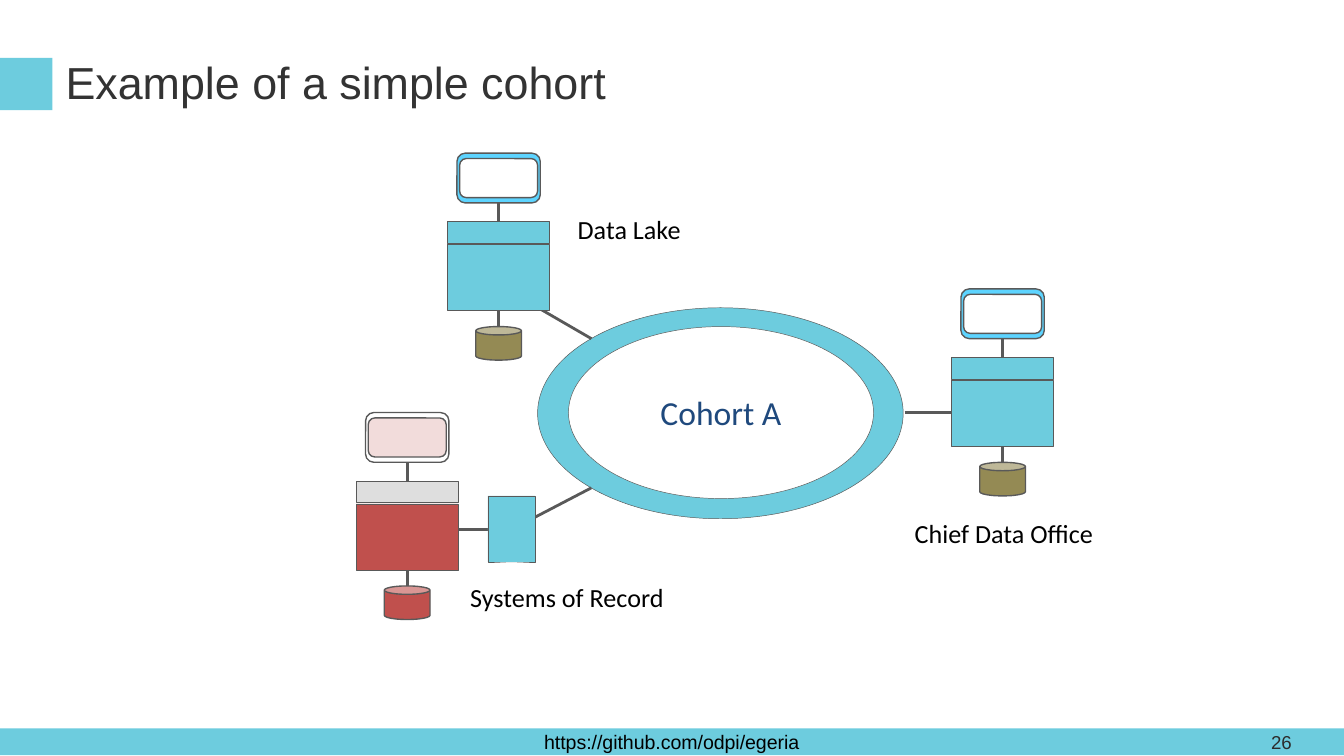
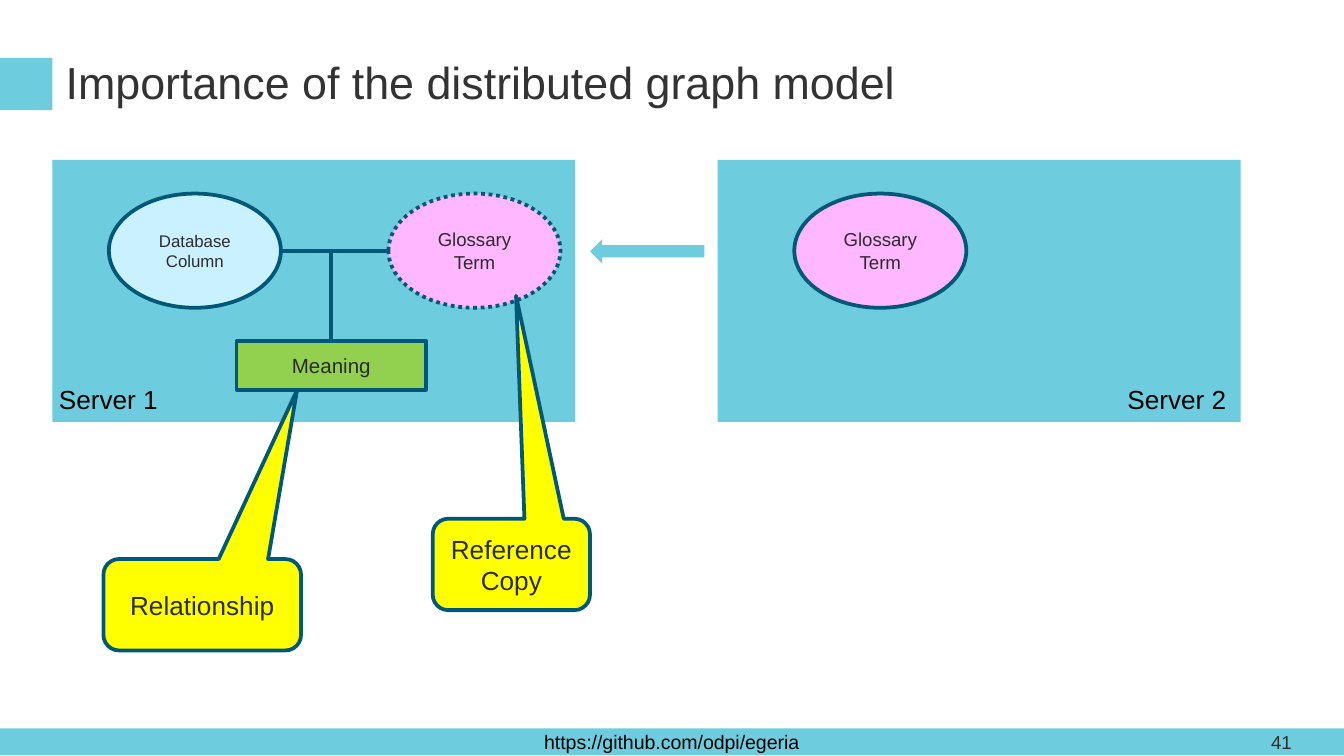
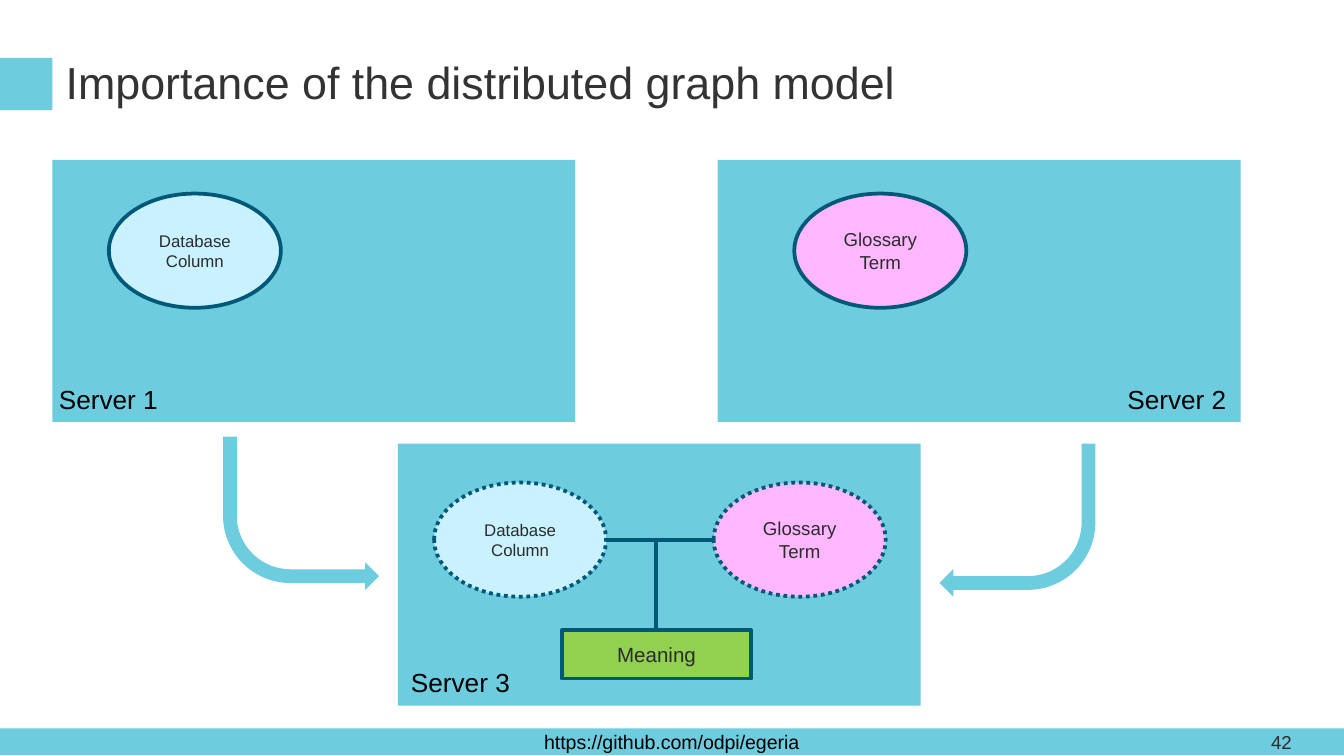
from lxml import etree
from pptx import Presentation
from pptx.dml.color import RGBColor
from pptx.enum import dml, shapes, text
from pptx.oxml import ns
from pptx.util import Inches, Pt

AQUA = RGBColor(0x6D, 0xCC, 0xDE)
SKY = RGBColor(0x5D, 0xD4, 0xFF)
PALE = RGBColor(0xC9, 0xF1, 0xFF)
PINK = RGBColor(0xFF, 0xB7, 0xFF)
GREEN = RGBColor(0x92, 0xD0, 0x50)
YELLOW = RGBColor(0xFF, 0xFF, 0x00)
OLIVE = RGBColor(0x94, 0x8A, 0x54)
RED = RGBColor(0xC0, 0x50, 0x4D)
ROSE = RGBColor(0xF2, 0xDC, 0xDB)
SILVER = RGBColor(0xDE, 0xDE, 0xDE)
WHITE = RGBColor(0xFF, 0xFF, 0xFF)
BLACK = RGBColor(0x00, 0x00, 0x00)
GREY = RGBColor(0x59, 0x59, 0x59)
TITLE = RGBColor(0x33, 0x33, 0x33)
INK = RGBColor(0x2C, 0x2C, 0x2C)
NAVY = RGBColor(0x1F, 0x49, 0x7D)
TEAL = RGBColor(0x00, 0x58, 0x78)

KIND = shapes.MSO_SHAPE
MID = text.MSO_ANCHOR.MIDDLE
TOP = text.MSO_ANCHOR.TOP
CENTER = text.PP_ALIGN.CENTER
LEFT = text.PP_ALIGN.LEFT

PANEL_W, PANEL_H = 3.89, 1.95
NODE_W, NODE_H = 1.28, 0.85
COLUMN = ("Database\nColumn", PALE, 9)
TERM = ("Glossary\nTerm", PINK, 10)
FLOW_COLUMN = ("Database Column", PALE, 9)
FLOW_TERM = ("Glossary Term", PINK, 10)


def write(shape, words, size=14, font="Arial", color=INK, align=CENTER,
          anchor=MID, inset=0.05, wrap=True):
    """Fill a shape with text; inset is the top and bottom margin."""
    frame = shape.text_frame
    frame.word_wrap = wrap
    frame.vertical_anchor = anchor
    frame.margin_top = frame.margin_bottom = Inches(inset)
    frame.text = words
    for para in frame.paragraphs:
        para.alignment = align
        para.font.size = Pt(size)
        para.font.name = font
        para.font.color.rgb = color


def label(slide, words, x, y, w=1.66, h=0.34, **style):
    box = slide.shapes.add_textbox(Inches(x), Inches(y), Inches(w), Inches(h))
    write(box, words, **{"align": LEFT, "anchor": TOP, "color": BLACK, **style})


def draw(slide, kind, x, y, w, h, fill, line=None, width=0.25, dots=False, adj=()):
    """Add a preset shape; without a line colour it has no outline."""
    shape = slide.shapes.add_shape(kind, Inches(x), Inches(y), Inches(w), Inches(h))
    shape.shadow.inherit = False
    shape.fill.solid()
    shape.fill.fore_color.rgb = fill
    if line is None:
        shape.line.fill.background()
    else:
        shape.line.color.rgb = line
        shape.line.width = Pt(width)
    if dots:
        shape.line.dash_style = dml.MSO_LINE.ROUND_DOT
    for i, value in enumerate(adj):
        shape.adjustments[i] = value
    return shape


def link(slide, x1, y1, x2, y2, color=GREY, width=1.5):
    line = slide.shapes.add_connector(
        shapes.MSO_CONNECTOR.STRAIGHT, Inches(x1), Inches(y1), Inches(x2), Inches(y2))
    line.line.color.rgb = color
    line.line.width = Pt(width)
    etree.SubElement(line._element.spPr, ns.qn("a:effectLst"))


def page(deck, title, number):
    """Add a slide with the shared title, marker and footer band."""
    slide = deck.slides.add_slide(deck.slide_layouts[6])
    band = draw(slide, KIND.RECTANGLE, 0, 5.42, 10, 0.2, AQUA)
    write(band, "https://github.com/odpi/egeria", size=10.5, color=BLACK)
    draw(slide, KIND.RECTANGLE, 0, 0.43, 0.39, 0.39, AQUA)
    label(slide, title, 0.39, 0.31, 9.27, 0.62, size=24, color=TITLE, inset=0.1)
    label(slide, str(number), 9.36, 5.42, 0.6, 0.2, size=10, color=INK,
          anchor=MID, inset=0.1)
    return slide


def system(slide, x, y, rim=SKY, screen=WHITE, head=AQUA, body=AQUA, store=OLIVE):
    """Draw a screen, a server and a data store, one below the other."""
    mid = x + 0.38
    draw(slide, KIND.ROUNDED_RECTANGLE, x + 0.07, y, 0.62, 0.37, rim, GREY, 0.75)
    draw(slide, KIND.ROUNDED_RECTANGLE, x + 0.09, y + 0.04, 0.58, 0.29, screen, GREY, 0.75)
    draw(slide, KIND.RECTANGLE, x, y + 0.68, 0.76, 0.49, body, GREY)
    draw(slide, KIND.RECTANGLE, x, y + 0.51, 0.76, 0.16, head, GREY)
    draw(slide, KIND.CAN, x + 0.21, y + 1.29, 0.34, 0.25, store, GREY, 0.75)
    link(slide, mid, y + 0.37, mid, y + 0.51)
    link(slide, mid, y + 1.17, mid, y + 1.29)


def panel(slide, name, x, y, dx=0.0):
    """Draw a server area, its name set dx from the left edge."""
    draw(slide, KIND.RECTANGLE, x, y, PANEL_W, PANEL_H, AQUA)
    label(slide, name, x + dx, y + 1.61, 0.94, wrap=False)


def node(slide, look, x, y, dots=False):
    words, fill, size = look
    oval = draw(slide, KIND.OVAL, x, y, NODE_W, NODE_H, fill, TEAL, 2, dots)
    write(oval, words, size=size)


def graph(slide, x, y, column, term, dots=False):
    """Draw a column tied to a copied term by their meaning."""
    mid = y + NODE_H / 2
    node(slide, column, x, y, dots)
    node(slide, term, x + 2.08, y, True)
    link(slide, x + NODE_W, mid, x + 2.08, mid, TEAL, 2.25)
    link(slide, x + 1.65, mid, x + 1.65, y + 1.1, TEAL, 2.25)
    box = draw(slide, KIND.RECTANGLE, x + 0.95, y + 1.1, 1.41, 0.36, GREEN, TEAL, 2)
    write(box, "Meaning", size=11)


def callout(slide, words, x, y, w, tip):
    shape = draw(slide, KIND.ROUNDED_RECTANGULAR_CALLOUT, x, y, w, 0.68,
                 YELLOW, TEAL, 2, adj=(*tip, 0.17))
    write(shape, words)


def bend(slide, x, y):
    return draw(slide, KIND.BENT_ARROW, x, y, 1.16, 1.14, AQUA,
                adj=(0.09, 0.09, 0.09, 0.44))


def cohort(deck):
    slide = page(deck, "Example of a simple cohort", 26)
    draw(slide, KIND.OVAL, 4, 2.29, 2.72, 1.57, AQUA, GREY)
    hub = draw(slide, KIND.OVAL, 4.23, 2.43, 2.27, 1.28, WHITE, GREY)
    write(hub, "Cohort A", size=18, font="Calibri", color=NAVY)

    link(slide, 3.71, 2.12, 4.4, 2.52)
    link(slide, 3.71, 3.99, 4.4, 3.63)
    link(slide, 6.73, 3.07, 7.08, 3.07)
    link(slide, 3.41, 3.94, 3.63, 3.94)
    draw(slide, KIND.RECTANGLE, 3.63, 3.69, 0.35, 0.49, AQUA, GREY)

    system(slide, 3.33, 1.14)
    system(slide, 7.08, 2.15)
    system(slide, 2.65, 3.07, WHITE, ROSE, SILVER, RED, RED)
    label(slide, "Data Lake", 4.2, 1.54, font="Calibri")
    label(slide, "Chief Data Office", 6.64, 3.8, font="Calibri", align=CENTER)
    label(slide, "Systems of Record", 3.4, 4.28, font="Calibri")


def model(deck, number):
    """Add a slide with the two servers and the term that server 2 owns."""
    slide = page(deck, "Importance of the distributed graph model", number)
    panel(slide, "Server 1", 0.39, 1.19, -0.05)
    panel(slide, "Server 2", 5.34, 1.19, 2.95)
    node(slide, TERM, 5.91, 1.44)
    return slide


def share(deck):
    slide = model(deck, 41)
    graph(slide, 0.81, 1.44, COLUMN, FLOW_TERM)
    draw(slide, KIND.LEFT_ARROW, 4.39, 1.78, 0.85, 0.18, AQUA)
    callout(slide, "Reference\nCopy", 3.22, 3.86, 1.17, (0.03, -2.94))
    callout(slide, "Relationship", 0.77, 4.16, 1.47, (0.48, -2.35))


def merge(deck):
    slide = model(deck, 42)
    node(slide, COLUMN, 0.81, 1.44)
    panel(slide, "Server 3", 2.96, 3.3)
    graph(slide, 3.23, 3.59, FLOW_COLUMN, TERM, True)
    bend(slide, 1.66, 3.25)._element.spPr.xfrm.set("flipV", "1")
    bend(slide, 6.99, 3.3).rotation = 180


def main():
    deck = Presentation()
    deck.slide_width = Inches(10)
    deck.slide_height = deck.slide_width * 9 // 16
    cohort(deck)
    share(deck)
    merge(deck)
    deck.save("out.pptx")


if __name__ == "__main__":
    main()
